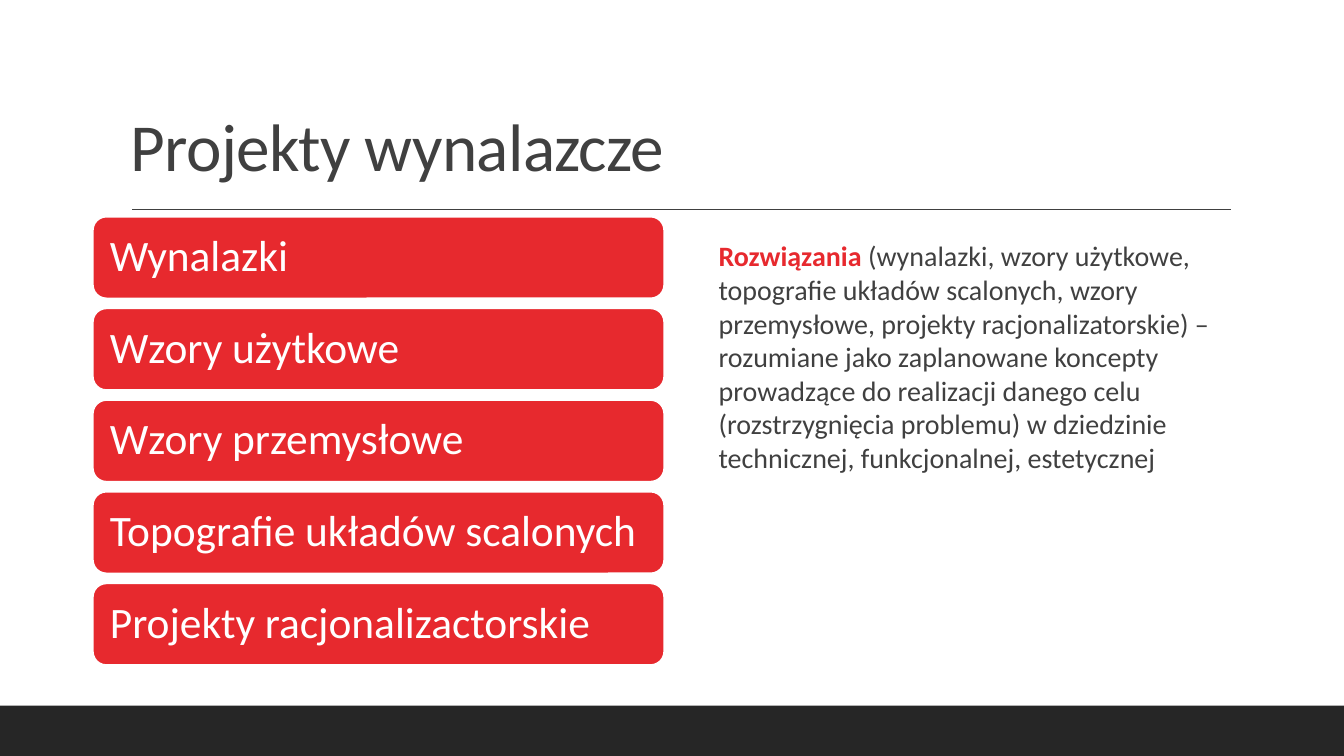
from dataclasses import dataclass

from lxml import etree
from pptx import Presentation
from pptx import util as u
from pptx.dml.color import RGBColor
from pptx.enum import shapes, text
from pptx.oxml.ns import qn

FONT = "Calibri"
RED, GREY, DARK, WHITE = "E7292E", "404040", "262626", "FFFFFF"


@dataclass(frozen=True)
class Box:
    """Position and size in centimetres."""
    left: float
    top: float
    width: float
    height: float

    def lengths(self) -> list[u.Length]:
        return [u.Cm(v) for v in (self.left, self.top, self.width, self.height)]


@dataclass(frozen=True)
class Run:
    text: str
    size: float
    color: str
    bold: bool = False
    spacing: int = 0  # hundredths of a point


TITLE_BOX = Box(3.05, 0.79, 27.94, 4.04)
BODY_BOX = Box(18.11, 5.89, 12.88, 10.41)
FOOTER_BOX = Box(0, 17.78, 33.87, 1.27)
FIRST_CARD = Box(2.34, 5.46, 14.4, 2.06)
CARD_PITCH = 2.31

PROJECT_TYPES = [
    "Wynalazki",
    "Wzory użytkowe",
    "Wzory przemysłowe",
    "Topografie układów scalonych",
    "Projekty racjonalizactorskie",
]
DEFINITION = [
    Run("Rozwiązania ", 20, RED, bold=True),
    Run("(wynalazki, wzory użytkowe, topografie układów scalonych, wzory "
        "przemysłowe, projekty racjonalizatorskie) – rozumiane jako "
        "zaplanowane koncepty prowadzące do realizacji danego celu "
        "(rozstrzygnięcia problemu) w dziedzinie technicznej, "
        "funkcjonalnej, estetycznej", 20, GREY),
]


def rgb(value: str) -> RGBColor:
    return RGBColor.from_string(value)


def write(sp, runs: list[Run], anchor, side: float, edge: float,
          line_spacing: float = 1.0) -> None:
    """Fill a shape with one left-aligned paragraph; insets are in cm."""
    tf = sp.text_frame
    tf.word_wrap = True
    tf.vertical_anchor = anchor
    tf.margin_left = tf.margin_right = u.Cm(side)
    tf.margin_top = tf.margin_bottom = u.Cm(edge)
    p = tf.paragraphs[0]
    p.alignment = text.PP_ALIGN.LEFT
    p.line_spacing = line_spacing
    for run in runs:
        r = p.add_run()
        r.text = run.text
        r.font.name = FONT
        r.font.size = u.Pt(run.size)
        r.font.bold = run.bold
        r.font.color.rgb = rgb(run.color)
        if run.spacing:
            r.font._element.set("spc", str(run.spacing))


def add_block(s, kind, box: Box, fill: str, line: str | None = None):
    sp = s.shapes.add_shape(kind, *box.lengths())
    sp.shadow.inherit = False
    sp.fill.solid()
    sp.fill.fore_color.rgb = rgb(fill)
    if line:
        sp.line.color.rgb = rgb(line)
        sp.line.width = u.Pt(1.25)
    else:
        sp.line.fill.background()
    return sp


def add_rule(s, left: float, right: float, y: float) -> None:
    rule = s.shapes.add_connector(shapes.MSO_CONNECTOR.STRAIGHT,
                                  u.Cm(left), u.Cm(y), u.Cm(right), u.Cm(y))
    rule.line.color.rgb = rgb(GREY)
    rule.line.width = u.Pt(1)
    etree.SubElement(rule._element.spPr, qn("a:effectLst"))


def main() -> None:
    prs = Presentation()
    prs.slide_width, prs.slide_height = u.Cm(33.87), u.Cm(19.05)
    s = prs.slides.add_slide(prs.slide_layouts[6])

    add_block(s, shapes.MSO_SHAPE.RECTANGLE, FOOTER_BOX, DARK)
    add_rule(s, 3.33, 31.01, 5.28)

    title = s.shapes.add_textbox(*TITLE_BOX.lengths())
    write(title, [Run("Projekty wynalazcze", 48, GREY, spacing=-50)],
          text.MSO_ANCHOR.BOTTOM, 0.25, 0.13, 0.9)

    for i, name in enumerate(PROJECT_TYPES):
        box = Box(FIRST_CARD.left, FIRST_CARD.top + i * CARD_PITCH,
                  FIRST_CARD.width, FIRST_CARD.height)
        card = add_block(s, shapes.MSO_SHAPE.ROUNDED_RECTANGLE, box, RED, WHITE)
        write(card, [Run(name, 31, WHITE)], text.MSO_ANCHOR.MIDDLE, 0.33, 0.33, 0.9)

    body = s.shapes.add_textbox(*BODY_BOX.lengths())
    write(body, DEFINITION, text.MSO_ANCHOR.TOP, 0, 0.13)

    prs.save("out.pptx")


if __name__ == "__main__":
    main()
